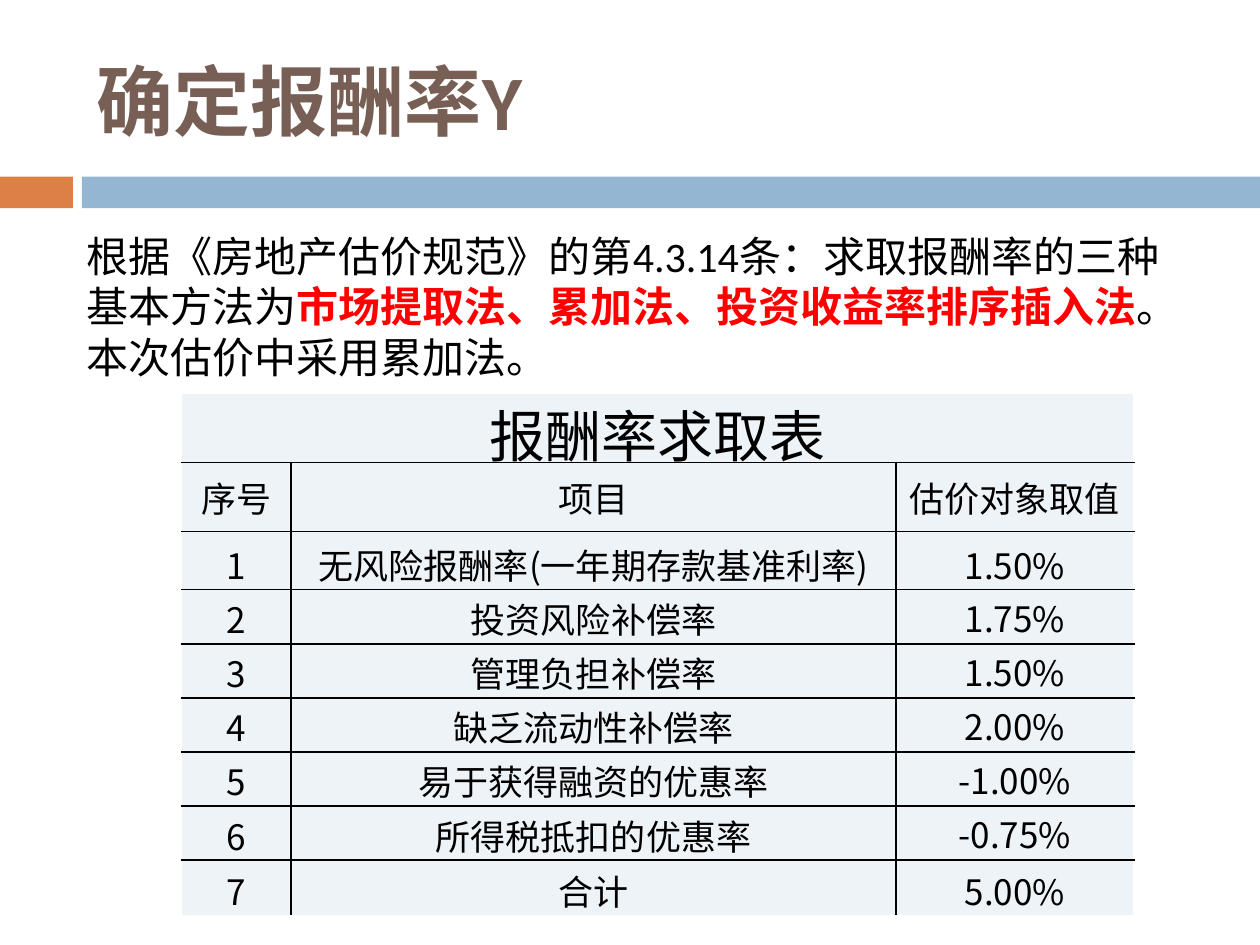
from typing import NamedTuple

from lxml import etree
from pptx import Presentation
from pptx.dml.color import RGBColor
from pptx.enum.shapes import MSO_SHAPE
from pptx.enum.text import MSO_ANCHOR, PP_ALIGN
from pptx.oxml.ns import qn
from pptx.util import Cm, Pt

RECTANGLE = MSO_SHAPE.RECTANGLE
MIDDLE, BOTTOM = MSO_ANCHOR.MIDDLE, MSO_ANCHOR.BOTTOM
CENTER = PP_ALIGN.CENTER

ORANGE = RGBColor(0xDD, 0x80, 0x47)
BLUE = RGBColor(0x94, 0xB6, 0xD2)
BROWN = RGBColor(0x77, 0x5F, 0x55)
RED = RGBColor(0xFF, 0x00, 0x00)
BLACK = RGBColor(0x00, 0x00, 0x00)
WHITE = RGBColor(0xFF, 0xFF, 0xFF)
PALE = RGBColor(0xEE, 0xF3, 0xF7)

LATIN = "Calibri"
CHINESE = "Noto Sans CJK SC"


class Box(NamedTuple):
    left: float
    top: float
    width: float
    height: float

    def lengths(self) -> list:
        return [Cm(value) for value in self]


class Band(NamedTuple):
    box: Box
    color: RGBColor


class Phrase(NamedTuple):
    text: str
    color: RGBColor
    size: int
    bold: bool = False
    font: str = LATIN


BANDS = [
    Band(Box(0, 3.56, 1.47, 0.8), ORANGE),
    Band(Box(1.65, 3.56, 23.75, 0.8), BLUE),
]
BAND_HEIGHT = 0.64

TITLE = [Phrase("确定报酬率Y", BROWN, 44, True)]
METHOD = [
    Phrase("根据《房地产估价规范》的第4.3.14条：求取报酬率的三种基本方法为", BLACK, 24),
    Phrase("市场提取法、累加法、投资收益率排序插入法", RED, 24, True),
    Phrase("。本次估价中采用累加法。", BLACK, 24),
]

COLUMN_WIDTHS = [2.21, 12.19, 4.8]
ROW_HEIGHTS = [1.4, 1.4, 1.17] + [1.09] * 5 + [1.12]
RATES = [
    ("无风险报酬率(一年期存款基准利率)", "1.50%"),
    ("投资风险补偿率", "1.75%"),
    ("管理负担补偿率", "1.50%"),
    ("缺乏流动性补偿率", "2.00%"),
    ("易于获得融资的优惠率", "-1.00%"),
    ("所得税抵扣的优惠率", "-0.75%"),
    ("合计", "5.00%"),
]
RATE_ROWS = [
    ("报酬率求取表", "", ""),
    ("序号", "项目", "估价对象取值"),
    *[(str(number), *rate) for number, rate in enumerate(RATES, 1)],
]


def draw_band(slide, band: Band) -> None:
    bar = slide.shapes.add_shape(RECTANGLE, *band.box._replace(height=BAND_HEIGHT).lengths())
    bar.shadow.inherit = False
    bar.fill.solid()
    bar.fill.fore_color.rgb = band.color
    bar.line.fill.background()


def write_phrase(paragraph, phrase: Phrase) -> None:
    run = paragraph.add_run()
    run.text = phrase.text
    formats = {"name": phrase.font, "size": Pt(phrase.size), "bold": phrase.bold}
    for attribute, value in formats.items():
        setattr(run.font, attribute, value)
    run.font.color.rgb = phrase.color
    if phrase.font == CHINESE:
        properties = run.font._element
        etree.SubElement(properties, qn("a:ea"), typeface=CHINESE)


def draw_text(slide, box: Box, phrases: list[Phrase], anchor=None) -> None:
    frame = slide.shapes.add_textbox(*box.lengths()).text_frame
    frame.word_wrap = True
    frame.vertical_anchor = anchor
    for phrase in phrases:
        write_phrase(frame.paragraphs[0], phrase)


def draw_borders(cell, colors: dict[str, RGBColor]) -> None:
    properties = cell._tc.get_or_add_tcPr()
    for position, (side, color) in enumerate(colors.items()):
        border = etree.Element(qn(f"a:ln{side}"), w=str(Pt(1)))
        fill = etree.SubElement(border, qn("a:solidFill"))
        etree.SubElement(fill, qn("a:srgbClr"), val=str(color))
        properties.insert(position, border)


def cell_anchor(row: int, column: int):
    return MIDDLE if row == 1 or (row > 2 and column == 2 and row < len(RATE_ROWS) - 1) else BOTTOM


def draw_rates(slide, box: Box) -> None:
    last_row, last_column = len(ROW_HEIGHTS) - 1, len(COLUMN_WIDTHS) - 1
    table = slide.shapes.add_table(last_row + 1, last_column + 1, *box.lengths()).table
    for column, width in zip(table.columns, COLUMN_WIDTHS):
        column.width = Cm(width)
    for row, height in zip(table.rows, ROW_HEIGHTS):
        row.height = Cm(height)
    table.cell(0, 0).merge(table.cell(0, last_column))

    for r, texts in enumerate(RATE_ROWS):
        for c, text in enumerate(texts):
            cell = table.cell(r, c)
            cell.fill.solid()
            cell.fill.fore_color.rgb = PALE
            formats = {"vertical_anchor": BOTTOM if r == 0 else cell_anchor(r, c)}
            formats |= {f"margin_{side}": 0 for side in ("left", "right", "top", "bottom")}
            for attribute, value in formats.items():
                setattr(cell, attribute, value)
            draw_borders(cell, {
                "L": WHITE if c == 0 or r == 0 else BLACK,
                "R": WHITE if c == last_column or r == 0 else BLACK,
                "T": WHITE if r == 0 else BLACK,
                "B": WHITE if r == last_row else BLACK,
            })
            if text:
                paragraph = cell.text_frame.paragraphs[0]
                paragraph.alignment = CENTER
                write_phrase(paragraph, Phrase(text, BLACK, 32 if r == 0 else 20, font=CHINESE))


def main() -> None:
    deck = Presentation()
    deck.slide_width, deck.slide_height = Cm(25.4), Cm(19.05)
    slide = deck.slides.add_slide(deck.slide_layouts[6])
    for band in BANDS:
        draw_band(slide, band)
    draw_text(slide, Box(1.7, 0.64, 22.66, 2.74), TITLE, MIDDLE)
    draw_rates(slide, Box(3.66, 7.92, sum(COLUMN_WIDTHS), sum(ROW_HEIGHTS)))
    draw_text(slide, Box(1.5, 4.52, 22.61, 3.33), METHOD)
    deck.save("out.pptx")


if __name__ == "__main__":
    main()
